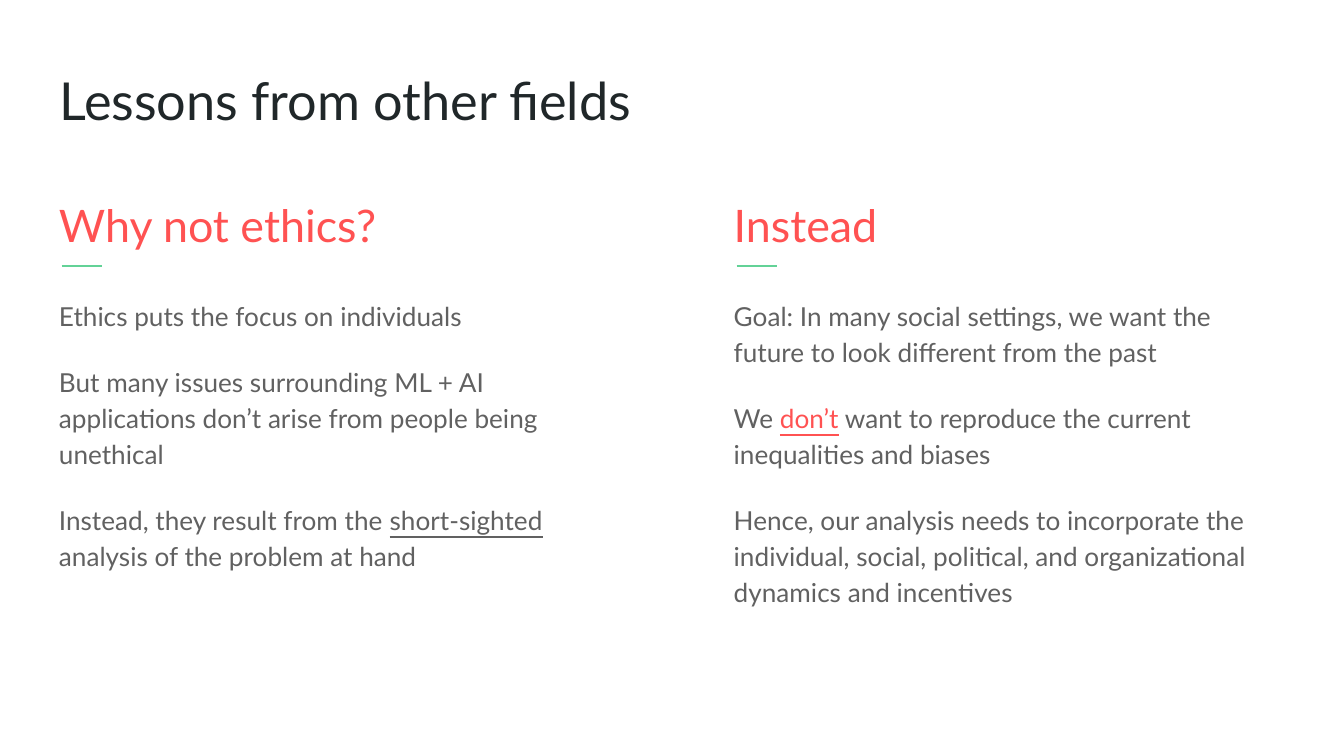
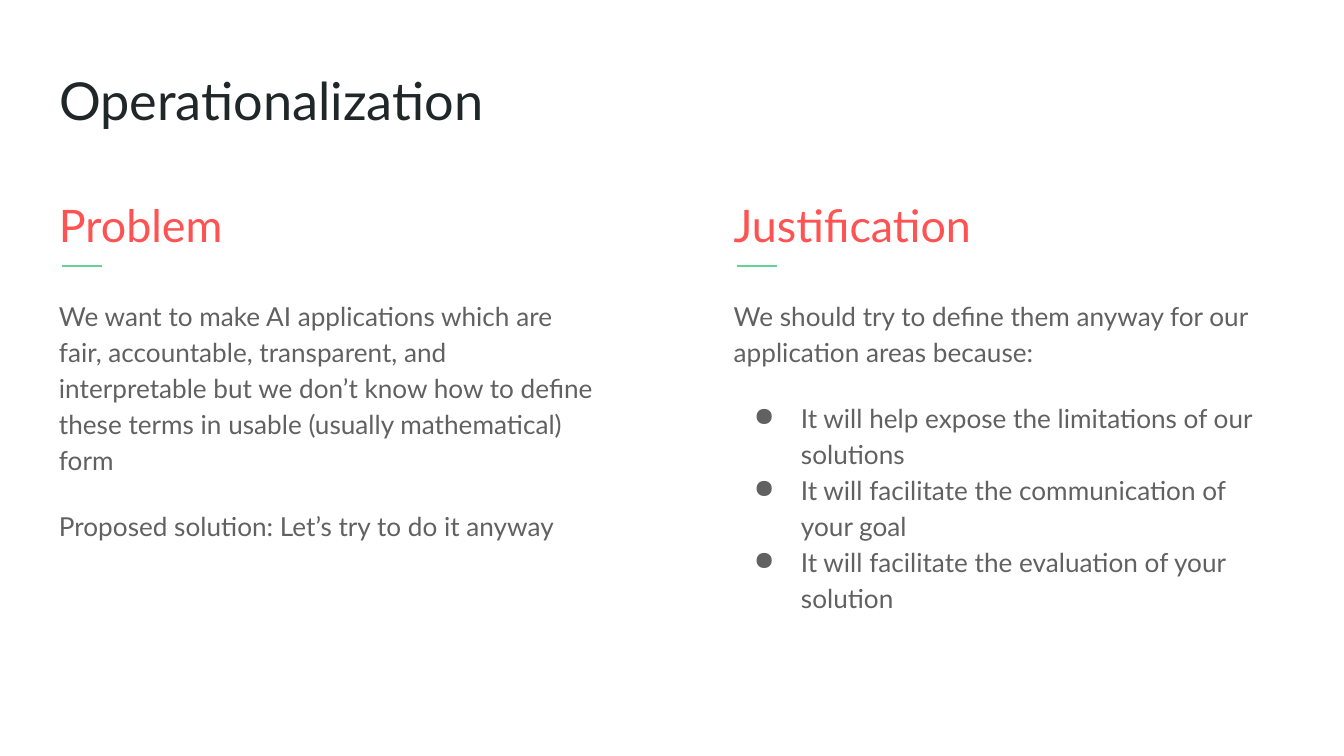
"""Build two slides that each compare two headed columns of text."""
import pptx
import pptx.dml.color
import pptx.enum.shapes
import pptx.enum.text
import pptx.oxml.ns
import pptx.util
from lxml import etree

Pt = pptx.util.Pt
RGBColor = pptx.dml.color.RGBColor

INK = RGBColor(0x20, 0x27, 0x29)
CORAL = RGBColor(0xFF, 0x52, 0x52)
GREEN = RGBColor(0x63, 0xD2, 0x97)
GRAY = RGBColor(0x61, 0x61, 0x61)
WHITE = RGBColor(0xFF, 0xFF, 0xFF)

TITLE = {"size": Pt(28), "color": INK}
HEADING = {"size": Pt(24), "color": CORAL}
BODY = {"size": Pt(14), "color": GRAY}
UNDERLINED = {**BODY, "underline": True}
STRESSED = {**UNDERLINED, "color": CORAL}

BULLET = "●"
PLAIN = ""

SLIDES = [
    ("Lessons from other fields", [
        ("Why not ethics?", [
            (PLAIN, [("Ethics puts the focus on individuals", BODY)]),
            (PLAIN, [("But many issues surrounding ML + AI applications don’t arise "
                      "from people being unethical", BODY)]),
            (PLAIN, [("Instead, they result from the ", BODY),
                     ("short-sighted", UNDERLINED),
                     (" analysis of the problem at hand", BODY)]),
        ]),
        ("Instead", [
            (PLAIN, [("Goal: In many social settings, we want the future to look "
                      "different from the past", BODY)]),
            (PLAIN, [("We ", BODY), ("don’t", STRESSED),
                     (" want to reproduce the current inequalities and biases", BODY)]),
            (PLAIN, [("Hence, our analysis needs to incorporate the individual, social, "
                      "political, and organizational dynamics and incentives", BODY)]),
        ]),
    ]),
    ("Operationalization", [
        ("Problem", [
            (PLAIN, [("We want to make AI applications which are fair, accountable, "
                      "transparent, and interpretable but we don’t know how to define "
                      "these terms in usable (usually mathematical) form", BODY)]),
            (PLAIN, [("Proposed solution: Let’s try to do it anyway", BODY)]),
        ]),
        ("Justification", [
            (PLAIN, [("We should try to define them anyway for our application areas "
                      "because:", BODY)]),
            (BULLET, [("It will help expose the limitations of our solutions", BODY)]),
            (BULLET, [("It will facilitate the communication of your goal", BODY)]),
            (BULLET, [("It will facilitate the evaluation of your solution", BODY)]),
        ]),
    ]),
]

COLUMN_LEFTS = (24.5, 386)
COLUMN_WIDTH = 303
TITLE_PLACE = (24.5, 29.5, 671, 57.5)
HEADING_TOP, HEADING_HEIGHT = 94.5, 41
RULE_TOP, RULE_INDENT, RULE_WIDTH = 142.5, 8.6, 21.4
BODY_TOP, BODY_HEIGHT = 151.2, 216.7
PARAGRAPH_GAP = 16
LINE_SPACING = 1.15
BULLET_INDENT, BULLET_HANG = 36, 25.2


def set_all(target, values):
    """Set every named attribute of the target."""
    for name, value in values.items():
        setattr(target, name, value)


def format_frame(frame):
    """Give a text frame the shared insets, anchor and wrapping."""
    margins = {f"margin_{side}": Pt(7.2) for side in ("left", "top", "right", "bottom")}
    set_all(frame, {**margins, "word_wrap": True,
                    "auto_size": pptx.enum.text.MSO_AUTO_SIZE.NONE,
                    "vertical_anchor": pptx.enum.text.MSO_ANCHOR.TOP})


def add_span(para, text, style):
    """Append one formatted run to the paragraph."""
    span = para.add_run()
    span.text = text
    values = {**style, "name": "Lato"}
    span.font.color.rgb = values.pop("color")
    set_all(span.font, values)


def add_bullet(para, symbol):
    """Hang the paragraph behind a bullet symbol."""
    properties = para._p.get_or_add_pPr()
    properties.set("marL", str(Pt(BULLET_INDENT)))
    properties.set("indent", str(-Pt(BULLET_HANG)))
    qn = pptx.oxml.ns.qn
    color = etree.SubElement(properties, qn("a:buClr"))
    etree.SubElement(color, qn("a:srgbClr")).set("val", str(GRAY))
    etree.SubElement(properties, qn("a:buChar")).set("char", symbol)


def add_text(page, place, paragraphs):
    """Add a text box whose paragraphs are kept apart, except within a list."""
    box = page.shapes.add_textbox(*map(Pt, place))
    format_frame(box.text_frame)
    previous = None
    for number, (symbol, spans) in enumerate(paragraphs):
        para = box.text_frame.add_paragraph() if number else box.text_frame.paragraphs[0]
        in_list = symbol and symbol == previous
        ends = number == len(paragraphs) - 1 and not symbol
        set_all(para, {"line_spacing": LINE_SPACING,
                       "space_before": Pt(PARAGRAPH_GAP if number and not in_list else 0),
                       "space_after": Pt(PARAGRAPH_GAP if ends else 0)})
        if symbol:
            add_bullet(para, symbol)
        for text, style in spans:
            add_span(para, text, style)
        previous = symbol


def add_rule(page, left):
    """Draw the short green rule below a heading."""
    rule = page.shapes.add_connector(
        pptx.enum.shapes.MSO_CONNECTOR.STRAIGHT,
        Pt(left), Pt(RULE_TOP), Pt(left + RULE_WIDTH), Pt(RULE_TOP))
    rule.line.color.rgb = GREEN
    rule.line.width = Pt(0.75)
    etree.SubElement(rule._element.spPr, pptx.oxml.ns.qn("a:effectLst"))


def add_title(page, text):
    """Place and format the title."""
    title = page.shapes.title
    set_all(title, dict(zip(("left", "top", "width", "height"), map(Pt, TITLE_PLACE))))
    format_frame(title.text_frame)
    para = title.text_frame.paragraphs[0]
    para.alignment = pptx.enum.text.PP_ALIGN.LEFT
    add_span(para, text, TITLE)


def main():
    """Build and save the deck."""
    deck = pptx.Presentation()
    set_all(deck, {"slide_width": Pt(720), "slide_height": Pt(405)})
    for title, columns in SLIDES:
        page = deck.slides.add_slide(deck.slide_layouts[5])
        page.background.fill.solid()
        page.background.fill.fore_color.rgb = WHITE
        add_title(page, title)
        for left, (heading, paragraphs) in zip(COLUMN_LEFTS, columns):
            add_text(page, (left, HEADING_TOP, COLUMN_WIDTH, HEADING_HEIGHT),
                     [(PLAIN, [(heading, HEADING)])])
            add_rule(page, left + RULE_INDENT)
            add_text(page, (left, BODY_TOP, COLUMN_WIDTH, BODY_HEIGHT), paragraphs)
    deck.save("out.pptx")


if __name__ == "__main__":
    main()
